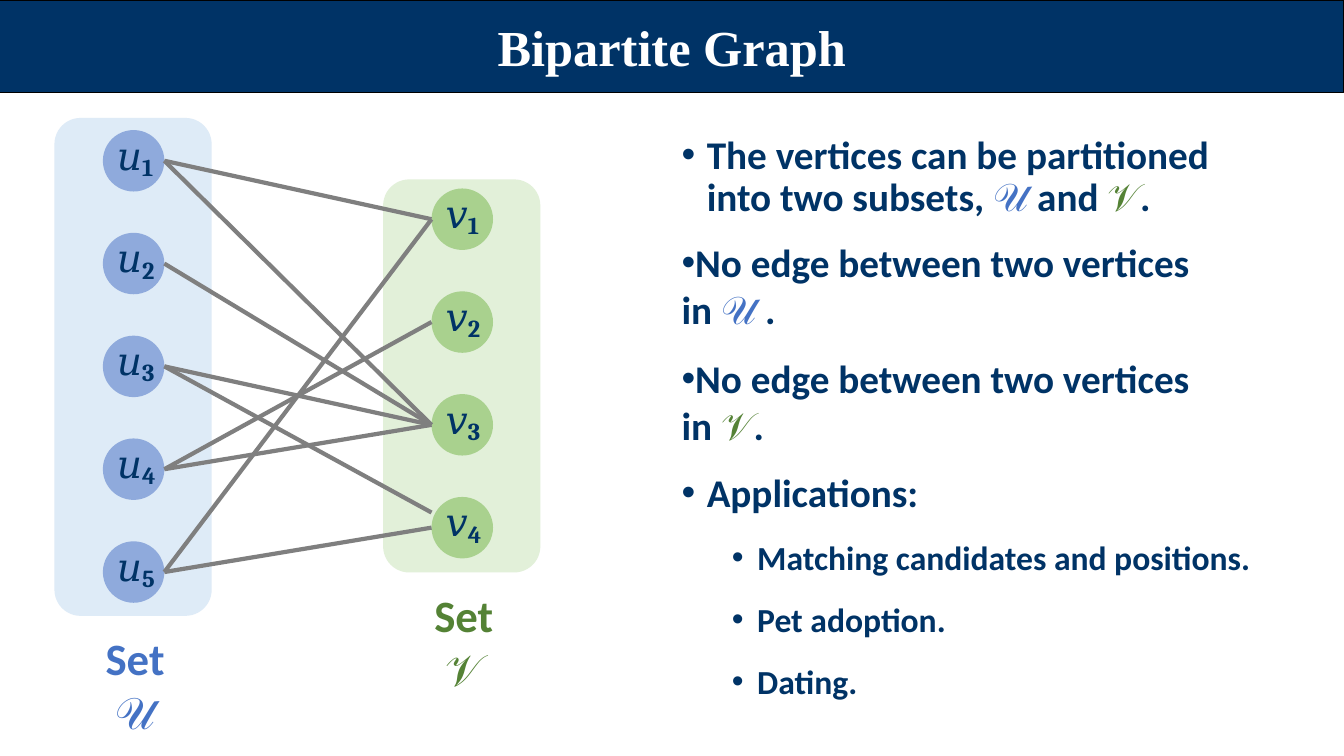
from lxml import etree
from pptx import Presentation
from pptx.dml.color import RGBColor
from pptx.enum.shapes import MSO_CONNECTOR as Connector, MSO_SHAPE as Shape
from pptx.enum.text import MSO_ANCHOR as Anchor, PP_ALIGN as Align
from pptx.oxml.ns import qn
from pptx.util import Inches, Pt

COLORS = {
    "navy": "003366", "white": "FFFFFF", "black": "000000", "edge": "7F7F7F",
    "u_panel": "DEEBF7", "u_node": "8FAADC", "u_text": "4472C4",
    "v_panel": "E2F0D9", "v_node": "A9D18E", "v_text": "548235",
}
NODE, PITCH = 0.61, 1.02
PANEL_WIDTH, NODE_INSET = 1.56, 0.48

# Vertex pairs (u, v); the last value raises the end at v
EDGES = [(1, 1, 0), (1, 3, 0), (2, 3, 0), (3, 3, 0), (3, 4, 0.15),
         (4, 2, 0), (4, 3, 0), (5, 1, 0), (5, 4, 0)]

# Text, level, space before
POINTS = [
    ("The vertices can be partitioned into two subsets, 𝒰 and 𝒱.", "wrapped", 5),
    ("No edge between two vertices in 𝒰 .", "flush", 14),
    ("No edge between two vertices in 𝒱.", "flush", 15.4),
    ("Applications:", "main", 14.4),
    ("Matching candidates and positions.", "sub", 15.4),
    ("Pet adoption.", "sub", 15.2),
    ("Dating.", "sub", 15.2),
]
# Left margin, first-line indent, right margin, size
LEVELS = {
    "wrapped": (0.26, -0.25, 0.7, 28),
    "flush": (0.01, 0, 0.7, 28),
    "main": (0.26, -0.25, 0, 28),
    "sub": (0.76, -0.25, 0, 24),
}
SET_COLORS = {"𝒰": "u_text", "𝒱": "v_text"}


def rgb(name):
    return RGBColor.from_string(COLORS[name])


def style(font, name, size, color):
    font.name, font.size, font.bold = name, Pt(size), True
    font.color.rgb = rgb(color)


def add_filled(slide, kind, left, top, width, height, fill):
    shape = slide.shapes.add_shape(
        kind, Inches(left), Inches(top), Inches(width), Inches(height))
    shape.shadow.inherit = False
    shape.fill.solid()
    shape.fill.fore_color.rgb = rgb(fill)
    shape.line.fill.background()
    return shape


def add_text_frame(slide, left, top, width, height):
    box = slide.shapes.add_textbox(
        Inches(left), Inches(top), Inches(width), Inches(height))
    frame = box.text_frame
    frame.word_wrap = True
    frame.margin_left = frame.margin_right = 0
    frame.margin_top = frame.margin_bottom = 0
    return frame


def add_mixed_runs(paragraph, text, size):
    """Split the text at the set symbols, which take their own font and colour."""
    for symbol in SET_COLORS:
        text = text.replace(symbol, f"|{symbol}|")
    for part in filter(None, text.split("|")):
        run = paragraph.add_run()
        run.text = part
        is_set = part in SET_COLORS
        style(run.font, "Cambria" if is_set else "Calibri", size,
              SET_COLORS.get(part, "navy"))


def add_title(slide, left, top, width, height):
    band = add_filled(slide, Shape.RECTANGLE, left, top, width, height, "navy")
    band.line.color.rgb = rgb("black")
    band.line.width = Pt(0.75)
    band.text_frame.vertical_anchor = Anchor.MIDDLE
    title = band.text_frame.paragraphs[0]
    title.text = "Bipartite Graph"
    title.alignment = Align.CENTER
    style(title.font, "Times New Roman", 36, "white")


def add_vertex(slide, left, top, letter, number, fill):
    add_filled(slide, Shape.OVAL, left, top, NODE, NODE, fill)
    frame = add_text_frame(slide, left + 0.14, top - 0.02, 0.45, 0.49)
    label = frame.paragraphs[0]
    label.space_before = Pt(1)
    for text, size in ((letter, 28), (str(number), 30)):
        run = label.add_run()
        run.text = text
        style(run.font, "Cambria", size, "navy")
    run.font._element.set("baseline", "-15000")


def add_vertex_set(slide, left, top, height, first_node, count, letter, symbol, prefix):
    # Panel and its vertices
    add_filled(slide, Shape.ROUNDED_RECTANGLE, left, top, PANEL_WIDTH, height,
               f"{prefix}_panel")
    for i in range(count):
        add_vertex(slide, left + NODE_INSET, first_node + i * PITCH,
                   letter, i + 1, f"{prefix}_node")
    # Caption below
    frame = add_text_frame(slide, left + 0.3, top + height + 0.15, 1, 1.1)
    caption = frame.paragraphs[0]
    caption.alignment = Align.CENTER
    for text, font in (("Set ", "Calibri"), (symbol, "Cambria")):
        run = caption.add_run()
        run.text = text
        style(run.font, font, 32, f"{prefix}_text")


def add_edge(slide, start, end):
    edge = slide.shapes.add_connector(
        Connector.STRAIGHT, *(Inches(value) for value in (*start, *end)))
    edge.line.color.rgb = rgb("edge")
    edge.line.width = Pt(3)
    etree.SubElement(edge._element.spPr, qn("a:effectLst"))


def add_graph(slide, left, top):
    u_node, v_left, v_node = top + 0.12, left + 3.26, top + 0.7
    add_vertex_set(slide, left, top, 4.94, u_node, 5, "𝑢", "𝒰", "u")
    add_vertex_set(slide, v_left, top + 0.61, 3.9, v_node, 4, "𝑣", "𝒱", "v")
    # Edges run from the right rim of u to the left rim of v
    for u, v, rise in EDGES:
        add_edge(slide,
                 (left + NODE_INSET + NODE, u_node + NODE / 2 + (u - 1) * PITCH),
                 (v_left + NODE_INSET, v_node + NODE / 2 + (v - 1) * PITCH - rise))


def add_points(slide, left, top, width, height):
    frame = add_text_frame(slide, left, top, width, height)
    frame.margin_top = Inches(0.07)
    for i, (text, level, before) in enumerate(POINTS):
        point = frame.paragraphs[0] if i == 0 else frame.add_paragraph()
        margin, indent, right, size = LEVELS[level]
        point.space_before = Pt(before)
        if level == "wrapped":
            point.line_spacing = Pt(30)
        # Bullet and indents
        props = point._p.get_or_add_pPr()
        for name, value in (("marL", margin), ("marR", right), ("indent", indent)):
            props.set(name, str(Inches(value)))
        etree.SubElement(props, qn("a:buFont")).set("typeface", "Arial")
        etree.SubElement(props, qn("a:buChar")).set("char", "•")
        add_mixed_runs(point, text, size)


def main():
    deck = Presentation()
    deck.slide_width, deck.slide_height = Inches(13.33), Inches(7.5)
    slide = deck.slides.add_slide(deck.slide_layouts[6])
    add_title(slide, 0, 0, 13.33, 0.92)
    add_graph(slide, 0.54, 1.17)
    add_points(slide, 6.75, 1.27, 6.05, 4.76)
    deck.save("out.pptx")


if __name__ == "__main__":
    main()
